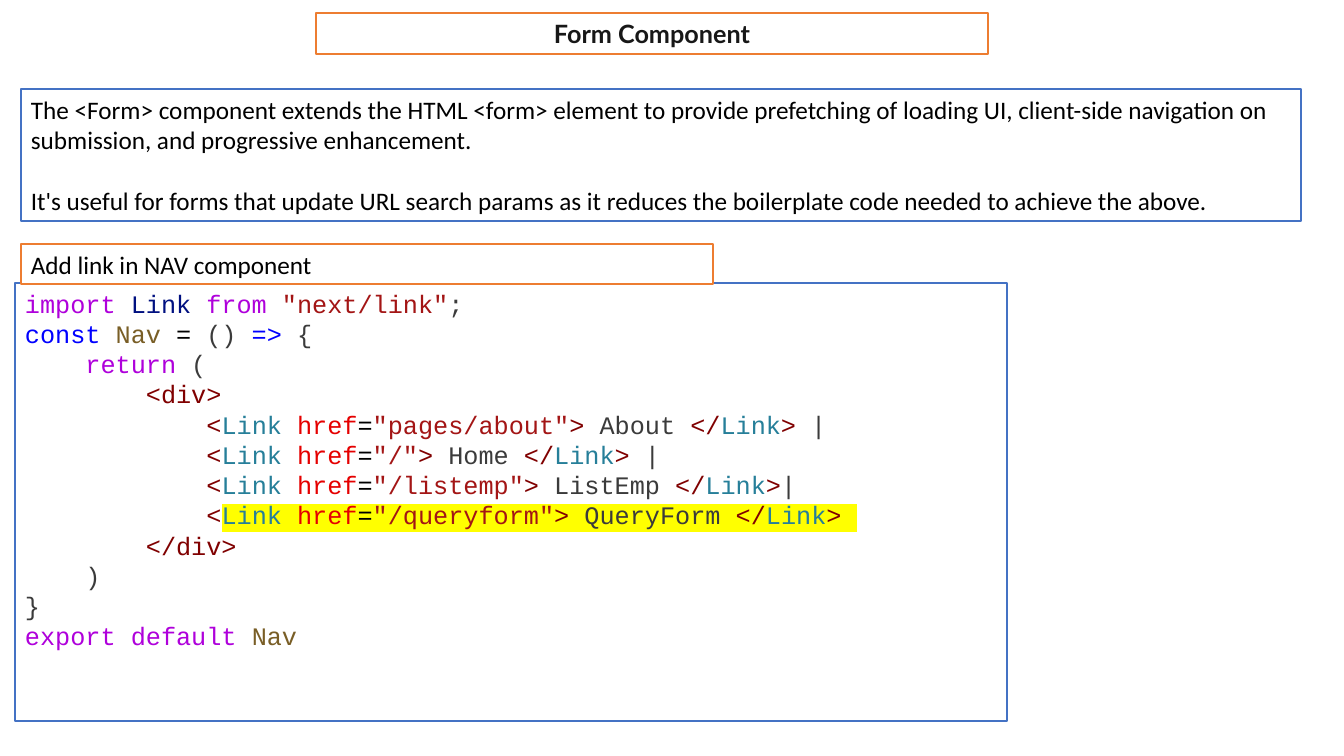
import pptx
import pptx.util
import pptx.oxml
import pptx.dml.color
import pptx.enum.shapes
import pptx.enum.text

RGBColor = pptx.dml.color.RGBColor
Pt = pptx.util.Pt
PX = 914400 / 100.8

WHITE = RGBColor(0xFF, 0xFF, 0xFF)
BLACK = RGBColor(0x00, 0x00, 0x00)
HEADING = RGBColor(0x17, 0x17, 0x17)
ORANGE = RGBColor(0xED, 0x7D, 0x31)
BLUE = RGBColor(0x44, 0x72, 0xC4)
CONTROL = RGBColor(0xAF, 0x00, 0xDB)
VARIABLE = RGBColor(0x00, 0x10, 0x80)
STRING = RGBColor(0xA3, 0x15, 0x15)
PLAIN = RGBColor(0x3B, 0x3B, 0x3B)
KEYWORD = RGBColor(0x00, 0x00, 0xFF)
FUNCTION = RGBColor(0x79, 0x5E, 0x26)
TAG = RGBColor(0x80, 0x00, 0x00)
COMPONENT = RGBColor(0x26, 0x7F, 0x99)
ATTRIBUTE = RGBColor(0xE5, 0x00, 0x00)

HIGHLIGHT_XML = (
    '<a:highlight xmlns:a="http://schemas.openxmlformats.org/drawingml/2006/main">'
    '<a:srgbClr val="FFFF00"/></a:highlight>'
)


def add_box(left, top, width, height, border, text="", font="Calibri", color=BLACK):
    """Add a white bordered rectangle with left-aligned 18 pt text; return its text frame."""
    box = slide.shapes.add_shape(
        pptx.enum.shapes.MSO_SHAPE.RECTANGLE,
        *(round(length * PX) for length in (left, top, width, height)))
    box.shadow.inherit = False
    box.fill.solid()
    box.fill.fore_color.rgb = WHITE
    box.line.color.rgb = border
    box.line.width = Pt(1)
    frame = box.text_frame
    frame.word_wrap = True
    frame.vertical_anchor = pptx.enum.text.MSO_ANCHOR.TOP
    frame.text = text
    for paragraph in frame.paragraphs:
        paragraph.alignment = pptx.enum.text.PP_ALIGN.LEFT
        for run in paragraph.runs:
            run.font.size = Pt(18)
            run.font.name = font
            run.font.color.rgb = color
    return frame


presentation = pptx.Presentation()
presentation.slide_width = round(1344 * PX)
presentation.slide_height = round(756 * PX)
slide = presentation.slides.add_slide(presentation.slide_layouts[6])

title = add_box(316, 13, 672, 41, ORANGE, "Form Component", "Lato", HEADING).paragraphs[0]
title.alignment = pptx.enum.text.PP_ALIGN.CENTER
title.runs[0].font.bold = True

intro = add_box(
    21, 89, 1280, 132, BLUE,
    "The <Form> component extends the HTML <form> element to provide prefetching of "
    "loading UI, client-side navigation on submission, and progressive enhancement.\n"
    "It's useful for forms that update URL search params as it reduces the boilerplate "
    "code needed to achieve the above.")
intro.paragraphs[1].space_before = Pt(22)

nav_links = [
    ("pages/about", "About", " |"),
    ("/", "Home", " |"),
    ("/listemp", "ListEmp", "|"),
    ("/queryform", "QueryForm", " "),
]
code_lines = [
    [("import ", CONTROL), ("Link ", VARIABLE), ("from ", CONTROL),
     ('"next/link"', STRING), (";", PLAIN)],
    [("const ", KEYWORD), ("Nav ", FUNCTION), ("=", BLACK), (" () ", PLAIN),
     ("=>", KEYWORD), (" {", PLAIN)],
    [("    ", PLAIN), ("return", CONTROL), (" (", PLAIN)],
    [("        ", PLAIN), ("<div>", TAG)],
]
for target, label, ending in nav_links:
    code_lines.append([
        ("            ", PLAIN), ("<", TAG), ("Link ", COMPONENT), ("href", ATTRIBUTE),
        ("=", BLACK), (f'"{target}"', STRING), (">", TAG), (f" {label} ", PLAIN),
        ("</", TAG), ("Link", COMPONENT), (">", TAG), (ending, PLAIN)])
new_link_line = code_lines[-1]
code_lines += [
    [("        ", PLAIN), ("</div>", TAG)],
    [("    )", PLAIN)],
    [("}", PLAIN)],
    [("export default ", CONTROL), ("Nav", FUNCTION)],
]

code = add_box(15, 283, 992, 438, BLUE)
for line_number, line in enumerate(code_lines):
    paragraph = code.add_paragraph() if line_number else code.paragraphs[0]
    paragraph.alignment = pptx.enum.text.PP_ALIGN.LEFT
    for position, (token, color) in enumerate(line):
        run = paragraph.add_run()
        run.text = token
        run.font.size = Pt(18)
        run.font.color.rgb = color
        if line is new_link_line and position >= 2:
            run.font.fill  # the highlight follows the colour in the run properties
            run._r.get_or_add_rPr().append(pptx.oxml.parse_xml(HIGHLIGHT_XML))
        run.font.name = "Courier New"

add_box(21, 244, 692, 40, ORANGE, "Add link in NAV component")

presentation.save("out.pptx")
